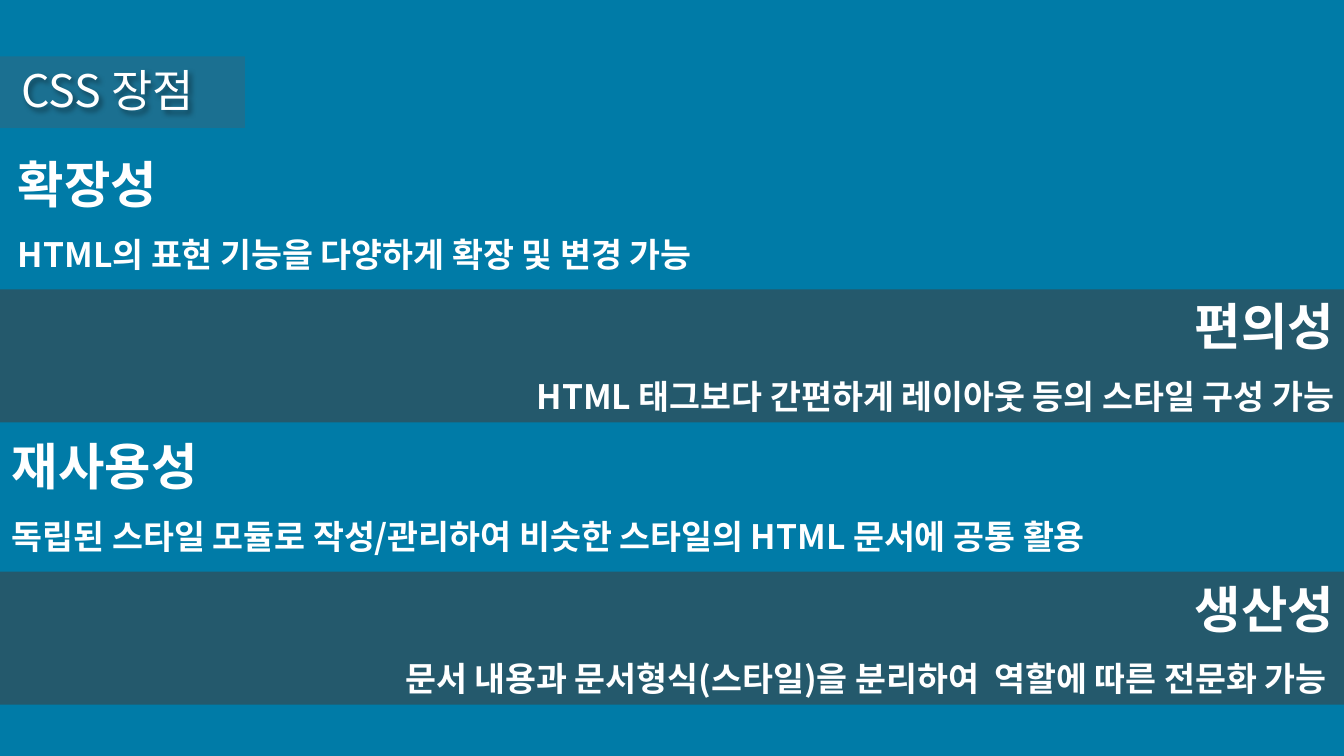
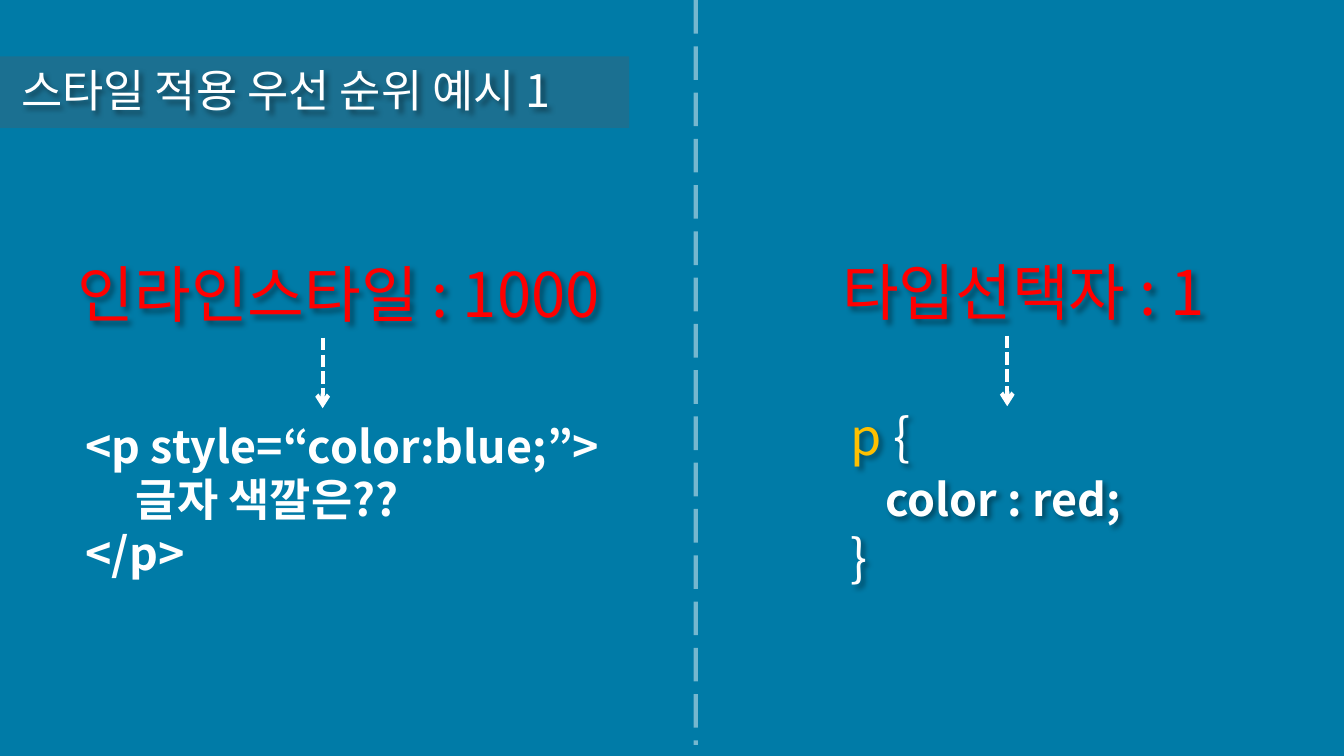
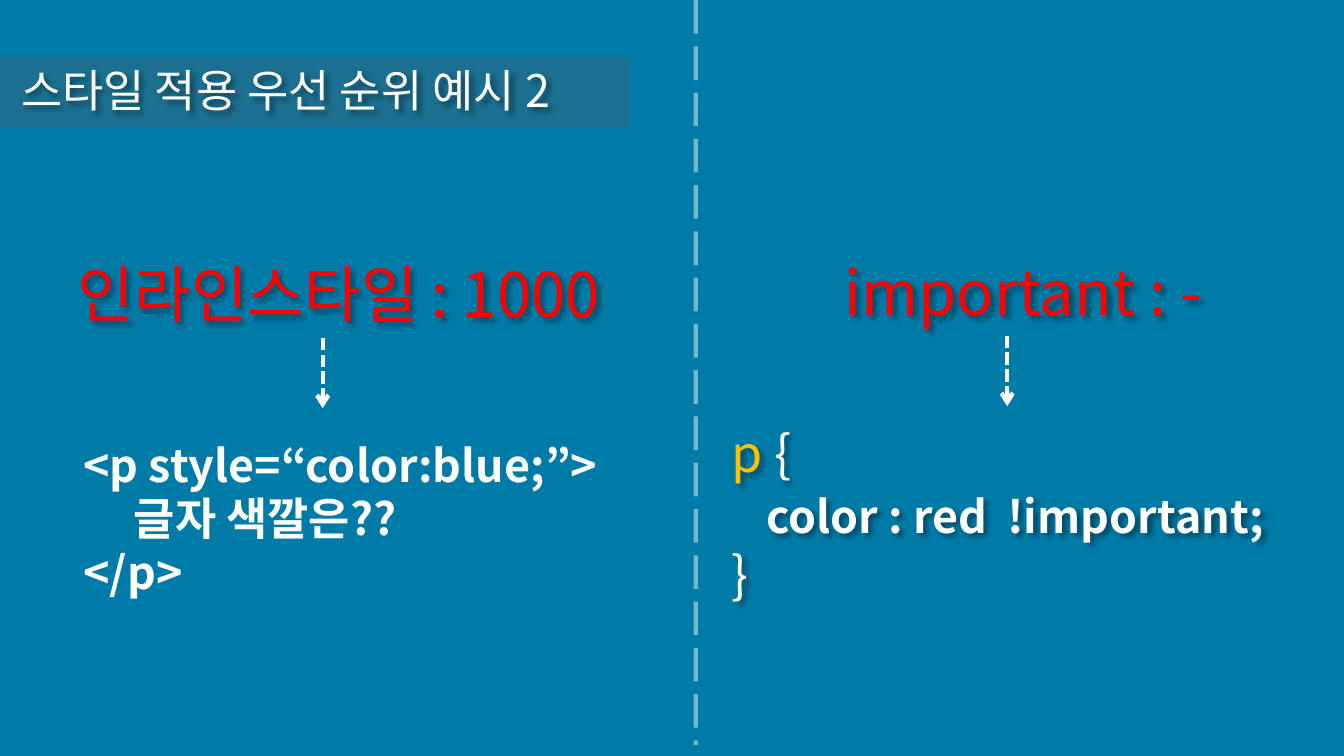
from lxml import etree
from pptx import Presentation
from pptx.dml.color import RGBColor
from pptx.enum.dml import MSO_LINE
from pptx.enum.shapes import MSO_CONNECTOR, MSO_SHAPE
from pptx.enum.text import MSO_ANCHOR, MSO_AUTO_SIZE, PP_ALIGN
from pptx.oxml.ns import qn
from pptx.util import Inches, Pt

LEFT, CENTER, RIGHT = PP_ALIGN.LEFT, PP_ALIGN.CENTER, PP_ALIGN.RIGHT
TOP, MIDDLE = MSO_ANCHOR.TOP, MSO_ANCHOR.MIDDLE
NO_AUTOFIT = MSO_AUTO_SIZE.NONE
RECTANGLE, STRAIGHT = MSO_SHAPE.RECTANGLE, MSO_CONNECTOR.STRAIGHT
LONG_DASH, SQUARE_DOT = MSO_LINE.LONG_DASH, MSO_LINE.SQUARE_DOT

BLUE = RGBColor(0x00, 0x7B, 0xA7)
WHITE = RGBColor(0xFF, 0xFF, 0xFF)
RED = RGBColor(0xFF, 0x00, 0x00)
AMBER = RGBColor(0xFF, 0xC0, 0x00)
TITLE_BAND = RGBColor(0x61, 0x57, 0x58)
ROW_BAND = RGBColor(0x40, 0x40, 0x40)
FONT = "Noto Sans CJK KR"

SLIDE_W, SLIDE_H = 13.33, 7.5
ROW_TOP, ROW_PITCH, ROW_H = 1.47, 1.4, 1.32
HEADING_W, HEADING_H = 6.36, 0.84
DIVIDER_X, DIVIDER_END = 6.9, 7.39
ARROW_TOP, ARROW_LENGTH = 0.86, 0.7

ADVANTAGES_TITLE = ("CSS 장점", 2.43)
ADVANTAGES = [  # left edge, banded, heading, explanation
    (0.08, False, "확장성", "HTML의 표현 기능을 다양하게 확장 및 변경 가능"),
    (0, True, "편의성", "HTML 태그보다 간편하게 레이아웃 등의 스타일 구성 가능"),
    (0.02, False, "재사용성",
     "독립된 스타일 모듈로 작성/관리하여 비슷한 스타일의 HTML 문서에 공통 활용"),
    (0, True, "생산성",
     "문서 내용과 문서형식(스타일)을 분리하여  역할에 따른 전문화 가능 "),
]

INLINE_HEADING = "인라인스타일 : 1000"
INLINE_CODE = ["<p style=“color:blue;”>", "\t글자 색깔은??", "</p>"]
EXAMPLE_BAND_W = 6.24
EXAMPLES = [
    {"title": "스타일 적용 우선 순위 예시 1", "inline_at": (0.75, 4.1),
     "rule_heading": "타입선택자 : 1", "rule_at": (8.34, 3.97),
     "declaration": "color : red;"},
    {"title": "스타일 적용 우선 순위 예시 2", "inline_at": (0.73, 4.29),
     "rule_heading": "important : -", "rule_at": (7.16, 4.14),
     "declaration": "color : red  !important;"},
]


def style(font, size, color=WHITE, bold=False):
    font.size, font.bold, font.name = Pt(size), bold, FONT
    font.color.rgb = color
    latin = font._element.find(qn("a:latin"))
    east_asian = etree.Element(qn("a:ea"), typeface=FONT)
    latin.addnext(east_asian)


def set_alpha(element, percent):
    color = next(element.iter(qn("a:srgbClr")))
    etree.SubElement(color, qn("a:alpha"), val=str(percent * 1000))


def add_text_shadow(shape):
    effects = etree.SubElement(shape._element.spPr, qn("a:effectLst"))
    shadow = etree.SubElement(effects, qn("a:outerShdw"), blurRad="50800",
                              dist="38100", dir="2700000", algn="tl")
    etree.SubElement(shadow, qn("a:srgbClr"), val="000000")
    set_alpha(shadow, 40)


def place(shape, left, top, width, height):
    shape.left, shape.top = Inches(left), Inches(top)
    shape.width, shape.height = Inches(width), Inches(height)


def add_band(slide, top, width, height, color, alpha):
    band = slide.shapes.add_shape(RECTANGLE, 0, Inches(top),
                                  Inches(width), Inches(height))
    band.shadow.inherit = False
    band.fill.solid()
    band.fill.fore_color.rgb = color
    set_alpha(band._element.spPr, alpha)
    band.line.fill.background()
    return band


def add_box(slide, left, top, width, height):
    return slide.shapes.add_textbox(Inches(left), Inches(top),
                                    Inches(width), Inches(height))


def write(shape, lines, align=LEFT, anchor=TOP):
    """Fill a shape with lines of (text, size, colour, bold, line spacing)."""
    frame = shape.text_frame
    frame.word_wrap, frame.auto_size = True, NO_AUTOFIT
    frame.vertical_anchor = anchor
    for index, (text, size, color, bold, spacing) in enumerate(lines):
        paragraph = frame.add_paragraph() if index else frame.paragraphs[0]
        paragraph.add_run().text = text
        paragraph.alignment = align
        paragraph.line_spacing = spacing
        style(paragraph.font, size, color, bold)


def add_line(slide, x, top, bottom, dash):
    line = slide.shapes.add_connector(STRAIGHT, Inches(x), Inches(top),
                                      Inches(x), Inches(bottom))
    line.line.color.rgb = WHITE
    line.line.width = Pt(3)
    line.line.dash_style = dash
    etree.SubElement(line._element.spPr, qn("a:effectLst"))
    return line


def add_titled_slide(prs, title, band_width):
    slide = prs.slides.add_slide(prs.slide_layouts[5])
    band = add_band(slide, 0.56, band_width, 0.71, TITLE_BAND, 28)
    slide.shapes._spTree.insert(2, band._element)
    heading = slide.shapes.title
    place(heading, 0.11, 0.57, 7.87, 0.64)
    write(heading, [(title, 32, WHITE, False, 1)])
    add_text_shadow(heading)
    return slide


def add_advantages(prs):
    slide = add_titled_slide(prs, *ADVANTAGES_TITLE)
    for row, (left, banded, heading, explanation) in enumerate(ADVANTAGES):
        top = ROW_TOP + row * ROW_PITCH
        lines = [(heading, 36, WHITE, True, 1),
                 (explanation, 24, WHITE, True, 1.5)]
        if banded:
            band = add_band(slide, top, SLIDE_W, ROW_H, ROW_BAND, 57)
            write(band, lines, RIGHT, MIDDLE)
        else:
            write(add_box(slide, left, top, SLIDE_W - left, ROW_H), lines)


def add_heading_with_arrow(slide, text, center, top, arrow_x):
    heading = add_box(slide, center - HEADING_W / 2, top, HEADING_W, HEADING_H)
    write(heading, [(text, 44, RED, False, 1)], CENTER)
    add_text_shadow(heading)
    arrow_top = top + ARROW_TOP
    arrow = add_line(slide, arrow_x, arrow_top, arrow_top + ARROW_LENGTH,
                     SQUARE_DOT)
    etree.SubElement(arrow.line._get_or_add_ln(), qn("a:tailEnd"), type="arrow")


def add_css_rule(slide, left, top, declaration):
    box = add_box(slide, left, top, SLIDE_W - left, 1.99)
    box.text_frame.word_wrap = True
    lines = [
        [("p ", 36, AMBER, False), ("{", 36, WHITE, False)],
        [("   ", 36, WHITE, True), (declaration, 32, WHITE, True)],
        [("}", 36, WHITE, False)],
    ]
    for index, runs in enumerate(lines):
        frame = box.text_frame
        paragraph = frame.add_paragraph() if index else frame.paragraphs[0]
        for text, *look in runs:
            run = paragraph.add_run()
            run.text = text
            style(run.font, *look)
    add_text_shadow(box)


def add_example(prs, example):
    slide = add_titled_slide(prs, example["title"], EXAMPLE_BAND_W)
    inline = add_box(slide, *example["inline_at"], 6, 1.72)
    write(inline, [(line, 32, WHITE, True, 1) for line in INLINE_CODE])
    divider = add_line(slide, DIVIDER_X, 0, DIVIDER_END, LONG_DASH)
    set_alpha(divider._element.spPr, 45)
    add_css_rule(slide, *example["rule_at"], example["declaration"])
    add_heading_with_arrow(slide, INLINE_HEADING, 3.36, 2.49, 3.2)
    add_heading_with_arrow(slide, example["rule_heading"], 10.15, 2.47, 9.99)


def main():
    prs = Presentation()
    prs.slide_width, prs.slide_height = Inches(SLIDE_W), Inches(SLIDE_H)
    background = prs.slide_master.background.fill
    background.solid()
    background.fore_color.rgb = BLUE
    add_advantages(prs)
    for example in EXAMPLES:
        add_example(prs, example)
    prs.save("out.pptx")


if __name__ == "__main__":
    main()
